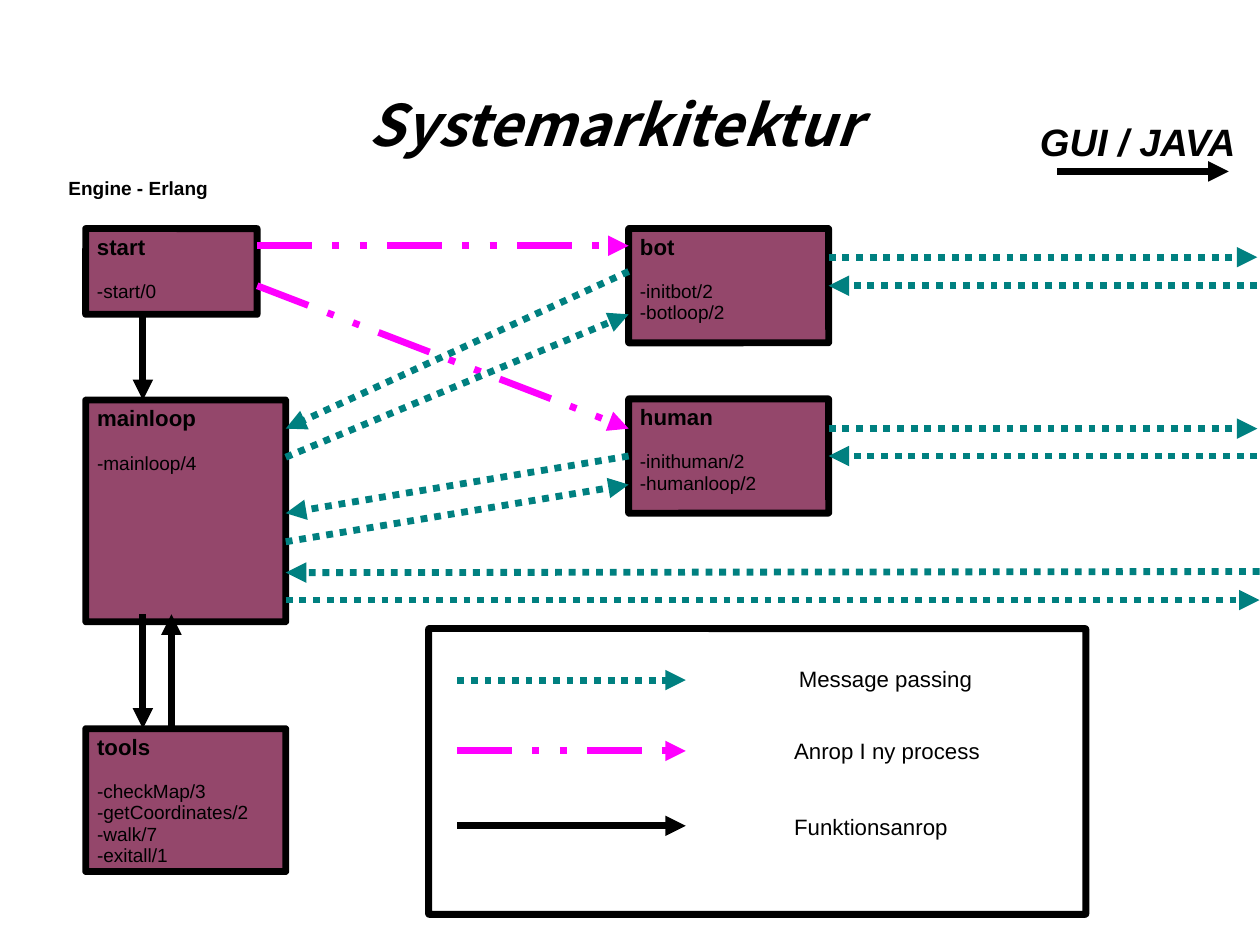
from pptx import Presentation, util as u
from pptx.dml.color import RGBColor
from pptx.enum import dml, shapes, text
from pptx.oxml.ns import qn
from lxml import etree

# Content: places and sizes are columns and rows of a quarter-inch grid
EDGE = 44.08
TITLE = ("Systemarkitektur", (4, 3.03, 35, 2.68))
HEADINGS = [
    ("Engine - Erlang", (2, 6, 14, 1.16), "engine"),
    ("GUI / JAVA", (36, 4.03, 8, 1.92), "gui"),
]
LEGEND_FRAME = (15, 22, 23, 10)
MODULES = [
    ("start", ["-start/0"], (3, 8, 6, 3)),
    ("mainloop", ["-mainloop/4"], (3, 14, 7, 7.76)),
    ("tools", ["-checkMap/3", "-getCoordinates/2", "-walk/7", "-exitall/1"],
     (3, 25.5, 7, 5)),
    ("bot", ["-initbot/2", "-botloop/2"], (22, 8, 7, 4)),
    ("human", ["-inithuman/2", "-humanloop/2"], (22, 13.96, 7, 4)),
]
LEGEND = [  # kind, label, row of the arrow, column and row of the label
    ("message", "Message passing", 23.8, 27.56, 23.12),
    ("process", "Anrop I ny process", 26.28, 27.4, 25.64),
    ("call", "Funktionsanrop", 28.9, 27.4, 28.32),
]
ARROWS = {  # kind: (from column, from row, to column, to row)
    "process": [(9, 10, 22, 15), (9, 8.6, 22, 8.6)],
    "call": [(5, 11, 5, 14), (5, 21.5, 5, 25.5), (6, 25.5, 6, 21.5),
             (37, 6, 43, 6)],
    "message": [
        (22, 9.5, 10, 15), (10, 16, 22, 11),            # mainloop and bot
        (22, 15.96, 10, 17.96), (10, 18.96, 22, 16.96),  # mainloop and human
        (10, 21, EDGE, 21), (EDGE, 20, 10, 20.04),      # mainloop and GUI
        (29, 9, 44, 9), (44, 10, 29, 10),               # bot and GUI
        (29, 15, 44, 15), (44, 15.96, 29, 15.96),       # human and GUI
    ],
}


class Theme:
    black = RGBColor(0, 0, 0)
    white = RGBColor(255, 255, 255)
    plum = RGBColor(0x94, 0x47, 0x6B)
    font, title_font = "Arial", "Noto Sans CJK SC"
    title, gui, name, engine, function = 36, 24, 14, 12, 12
    line = u.Pt(4.31)
    arrows = {
        "message": (RGBColor(0, 0x80, 0x80), dml.MSO_LINE.ROUND_DOT),
        "process": (RGBColor(255, 0, 255), dml.MSO_LINE.DASH_DOT_DOT),
        "call": (black, dml.MSO_LINE.SOLID),
    }


def grid(*cells):
    return [u.Inches(cell / 4) for cell in cells]


def prepare_frame(frame, top=0.06, wrap=True):
    frame.auto_size = text.MSO_AUTO_SIZE.NONE
    frame.word_wrap = wrap
    frame.vertical_anchor = text.MSO_ANCHOR.TOP
    frame.margin_left = frame.margin_right = u.Inches(0.1)
    frame.margin_top, frame.margin_bottom = u.Inches(top), u.Inches(0.05)


def write(paragraph, words, size, bold=False, italic=False, font=Theme.font,
          align=text.PP_ALIGN.LEFT, spacing=0.93, after=0):
    paragraph.text = words
    paragraph.alignment = align
    paragraph.line_spacing = spacing
    paragraph.space_after = u.Pt(after)
    paragraph.font.name, paragraph.font.size = font, u.Pt(size)
    paragraph.font.bold, paragraph.font.italic = bold, italic
    paragraph.font.color.rgb = Theme.black


def add_label(slide, words, place, size, **style):
    label = slide.shapes.add_textbox(*grid(*place))
    prepare_frame(label.text_frame, wrap=False)
    write(label.text_frame.paragraphs[0], words, size, **style)


def add_box(slide, place, fill):
    box = slide.shapes.add_shape(
        shapes.MSO_SHAPE.ROUNDED_RECTANGLE, *grid(*place))
    box.adjustments[0] = 0.002
    box.shadow.inherit = False
    box.fill.solid()
    box.fill.fore_color.rgb = fill
    box.line.color.rgb, box.line.width = Theme.black, Theme.line
    return box


def add_module(slide, name, functions, place):
    frame = add_box(slide, place, Theme.plum).text_frame
    prepare_frame(frame)
    write(frame.paragraphs[0], name, Theme.name, bold=True, after=13.4)
    for function in functions:
        write(frame.add_paragraph(), function, Theme.function)


def add_arrow(slide, kind, ends):
    arrow = slide.shapes.add_connector(
        shapes.MSO_CONNECTOR.STRAIGHT, *grid(*ends))
    color, dash = Theme.arrows[kind]
    arrow.line.color.rgb, arrow.line.width = color, Theme.line
    arrow.line.dash_style = dash
    outline = arrow._element.spPr.find(qn("a:ln"))
    etree.SubElement(outline, qn("a:tailEnd"), type="triangle")
    etree.SubElement(arrow._element.spPr, qn("a:effectLst"))


def main():
    presentation = Presentation()
    presentation.slide_width = u.Cm(28)
    presentation.slide_height = u.Cm(21)
    slide = presentation.slides.add_slide(presentation.slide_layouts[5])

    # Title and headings
    words, place = TITLE
    title = slide.shapes.title
    title.left, title.top, title.width, title.height = grid(*place)
    prepare_frame(title.text_frame, top=0.07)
    write(title.text_frame.paragraphs[0], words, Theme.title, bold=True,
          italic=True, font=Theme.title_font, align=text.PP_ALIGN.CENTER,
          spacing=0.95)
    for words, place, role in HEADINGS:
        add_label(slide, words, place, getattr(Theme, role), bold=True,
                  italic=role == "gui")

    # Modules and the arrows between them
    add_box(slide, LEGEND_FRAME, Theme.white)
    for name, functions, place in MODULES:
        add_module(slide, name, functions, place)
    for kind, routes in ARROWS.items():
        for ends in routes:
            add_arrow(slide, kind, ends)

    # Legend
    for kind, words, row, label_column, label_row in LEGEND:
        add_arrow(slide, kind, (16, row, 24, row))
        add_label(slide, words, (label_column, label_row, 10, 1.28),
                  Theme.name)

    presentation.save("out.pptx")


if __name__ == "__main__":
    main()
